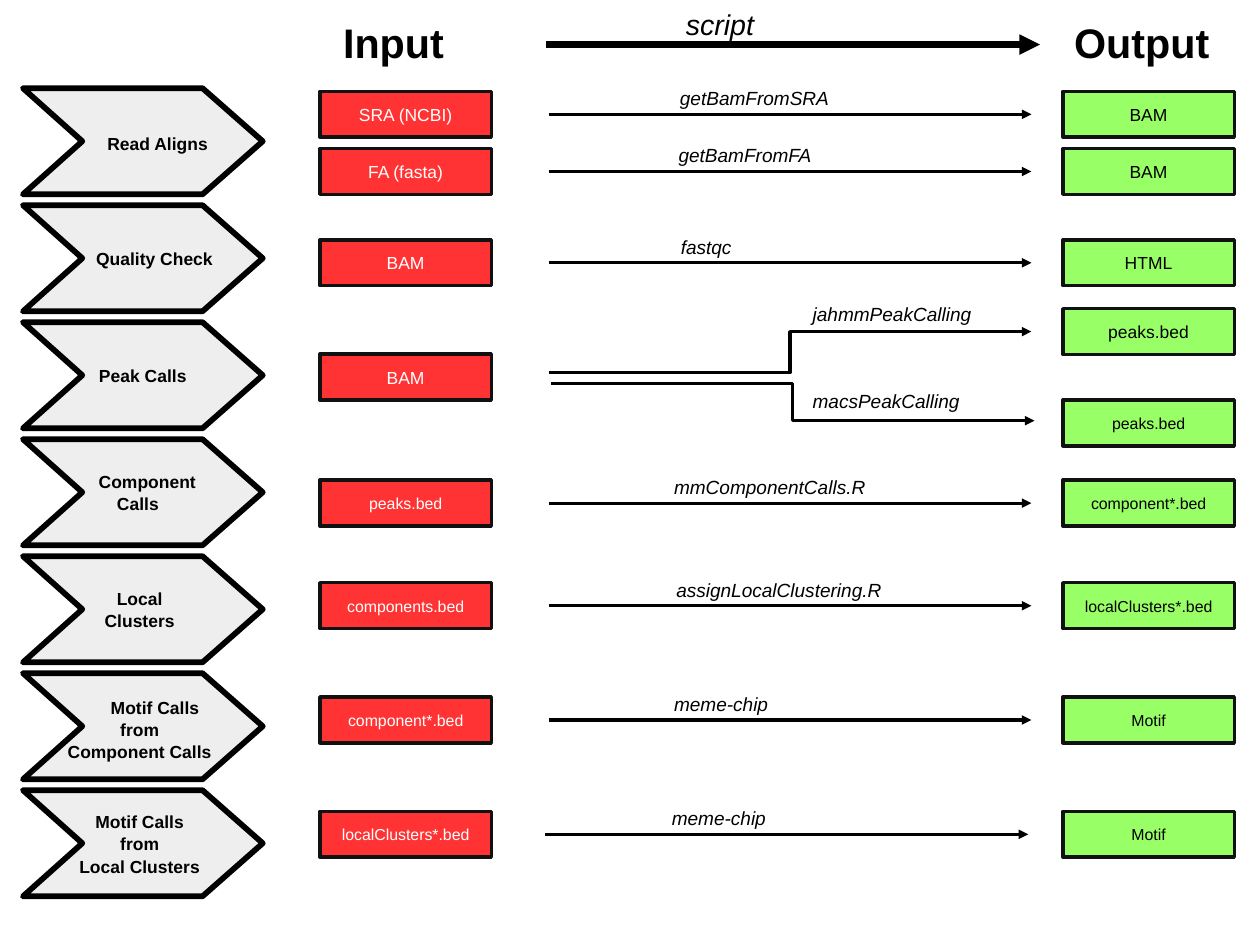
from dataclasses import dataclass

from lxml import etree
from pptx import Presentation
from pptx.dml.color import RGBColor
from pptx.enum.shapes import MSO_CONNECTOR, MSO_SHAPE
from pptx.enum.text import MSO_ANCHOR, MSO_AUTO_SIZE, PP_ALIGN
from pptx.oxml.ns import qn
from pptx.util import Cm, Pt

RECT = MSO_SHAPE.RECTANGLE
LINE, ELBOW = MSO_CONNECTOR.STRAIGHT, MSO_CONNECTOR.ELBOW
TOP, MIDDLE = MSO_ANCHOR.TOP, MSO_ANCHOR.MIDDLE
LEFT, CENTER = PP_ALIGN.LEFT, PP_ALIGN.CENTER
FIXED = MSO_AUTO_SIZE.NONE


@dataclass
class Theme:
    """Colours, font and type sizes of the slide."""
    font: str = "Arial"
    ink: str = "000000"
    edge: str = "111111"
    pale: str = "EEEEEE"
    red: str = "FF3333"
    green: str = "99FF66"
    white: str = "FFFFFF"
    head: int = 26
    lead: int = 18
    label: int = 12
    text: int = 11
    small: int = 10


THEME = Theme()
STEP_TOP, STEP_GAP = 1.96, 2.6
IN_X, OUT_X = 7.11, 23.62
FROM_X, TO_X = 12.19, 22.92

STEPS = [
    (0.12, [("Read Aligns", 0.33)]),
    (0, [("Quality Check", 0.26)]),
    (0, [("Peak Calls", 0)]),
    (0, [("Component", 0.1), ("Calls", -0.11)]),
    (0, [("Local", -0.07), ("Clusters", 0)]),
    (0.12, [("Motif Calls", 0.27), ("from", -0.07), ("Component Calls", 0)]),
    (0, [("Motif Calls", -0.07), ("from", -0.07), ("Local Clusters", 0)]),
]
FLOWS = [
    (2.54, "SRA (NCBI)", "getBamFromSRA", 14.86, "BAM", THEME.text, 0),
    (3.81, "FA (fasta)", "getBamFromFA", 14.83, "BAM", THEME.text, 0),
    (5.84, "BAM", "fastqc", 14.88, "HTML", THEME.text, 0),
    (11.18, "peaks.bed", "mmComponentCalls.R", 14.73, "component*.bed", THEME.small, 0),
    (13.46, "components.bed", "assignLocalClustering.R", 14.78, "localClusters*.bed",
     THEME.small, 0),
    (16, "component*.bed", "meme-chip", 14.73, "Motif", THEME.small, 0),
    (18.54, "localClusters*.bed", "meme-chip", 14.68, "Motif", THEME.small, -0.07),
]
PEAKS = [
    ((12.19, 8.28), (22.92, 7.37), "jahmmPeakCalling", 6.6, 7.37, THEME.text),
    ((12.24, 8.53), (22.99, 9.35), "macsPeakCalling", 8.53, 9.4, THEME.small),
]


def apply(item, values):
    """Set each named attribute of an item."""
    for name, value in values.items():
        setattr(item, name, value)


class Chart:
    """Draws the parts of the workflow on one slide."""

    def __init__(self, slide, theme):
        """Keep the slide and its theme."""
        self.slide, self.theme = slide, theme
        self.shapes = slide.shapes

    def letter(self, shape, lines, size, color, align=LEFT, frame=None, **font):
        """Fill a shape with lines, each moved sideways by its shift."""
        body = shape.text_frame
        apply(body, {"word_wrap": True, "auto_size": FIXED,
                     "vertical_anchor": TOP, **(frame or {})})
        body.text = "\n".join(text for text, _ in lines)
        for para, (_, shift) in zip(body.paragraphs, lines):
            para.alignment = align
            if len(lines) > 1:
                para.line_spacing = 1.06
            if shift:
                side = "marL" if shift > 0 else "marR"
                para._p.get_or_add_pPr().set(side, str(Cm(abs(shift) * 2)))
            face = para.runs[0].font
            apply(face, {"name": self.theme.font, "size": Pt(size), **font})
            face.color.rgb = RGBColor.from_string(color)

    def paint(self, shape, fill, edge, width):
        """Give a shape its fill and outline."""
        shape.shadow.inherit = False
        shape.fill.solid()
        shape.fill.fore_color.rgb = RGBColor.from_string(fill)
        shape.line.color.rgb = RGBColor.from_string(edge)
        shape.line.width = Pt(width)

    def title(self, text, x, y, width):
        """Place the title as a column head."""
        shape = self.shapes.title
        apply(shape, {"left": Cm(x), "top": Cm(y),
                      "width": Cm(width), "height": Cm(1.27)})
        self.letter(shape, [(text, 0)], self.theme.head, self.theme.ink, bold=True)

    def note(self, text, x, y, size, width=5.5, **font):
        """Add a free line of text."""
        shape = self.shapes.add_textbox(Cm(x), Cm(y), Cm(width), Cm(size * 0.06))
        self.letter(shape, [(text, 0)], size, self.theme.ink, **font)

    def box(self, text, x, mid, fill, color, size):
        """Add a file box around a middle height."""
        shape = self.shapes.add_shape(RECT, Cm(x), Cm(mid - 0.51), Cm(3.81), Cm(1.02))
        self.paint(shape, fill, self.theme.edge, 2.15)
        frame = {"vertical_anchor": MIDDLE, "margin_left": 0, "margin_right": 0}
        self.letter(shape, [(text, 0)], size, color, CENTER, frame)

    def source(self, text, mid, size):
        """Add an input box."""
        self.box(text, IN_X, mid, self.theme.red, self.theme.white, size)

    def result(self, text, mid, size):
        """Add an output box."""
        self.box(text, OUT_X, mid, self.theme.green, self.theme.ink, size)

    def step(self, lines, top, drop):
        """Add a chevron that names a step."""
        left, mid, base = 0.51, top + 1.18, top + 2.36
        build = self.shapes.build_freeform(Cm(left), Cm(top))
        build.add_line_segments([(Cm(x), Cm(y)) for x, y in (
            (4.5, top), (5.84, mid), (4.5, base), (left, base), (1.83, mid))])
        shape = build.convert_to_shape()
        self.paint(shape, self.theme.pale, self.theme.ink, 3.6)
        frame = {"vertical_anchor": MIDDLE, "margin_top": Cm(0.18 + drop),
                 "margin_bottom": Cm(0.18)}
        self.letter(shape, lines, self.theme.text, self.theme.ink, CENTER, frame, bold=True)

    def arrow(self, start, end, kind=LINE, width=0):
        """Join two points with an arrow."""
        link = self.shapes.add_connector(kind, *map(Cm, start + end))
        link.line.color.rgb = RGBColor.from_string(self.theme.ink)
        link.line.width = Pt(width)
        etree.SubElement(link.line._ln, qn("a:tailEnd"), type="triangle")
        etree.SubElement(link._element.spPr, qn("a:effectLst"))


def main():
    """Build and save the workflow slide."""
    deck = Presentation()
    apply(deck, {"slide_width": Cm(28), "slide_height": Cm(21)})
    chart = Chart(deck.slides.add_slide(deck.slide_layouts[5]), THEME)

    chart.title("Input", 7.37, 0.25, 4)
    chart.note("Output", 23.62, 0.25, THEME.head, 4.2, bold=True)
    chart.note("script", 14.99, 0.03, THEME.lead, italic=True)
    chart.arrow((12.14, 0.99), (23.11, 0.99), width=4.31)

    for row, (drop, lines) in enumerate(STEPS):
        chart.step(lines, STEP_TOP + row * STEP_GAP, drop)

    for mid, source, script, x, result, size, shift in FLOWS:
        chart.source(source, mid, size)
        chart.arrow((FROM_X + shift, mid), (TO_X + shift, mid))
        chart.note(script, x, mid - 0.74, THEME.label, italic=True)
        chart.result(result, mid, size)

    chart.source("BAM", 8.38, THEME.text)
    for start, end, script, top, mid, size in PEAKS:
        chart.arrow(start, end, ELBOW)
        chart.note(script, 17.81, top, THEME.label, italic=True)
        chart.result("peaks.bed", mid, size)

    deck.save("out.pptx")


if __name__ == "__main__":
    main()
